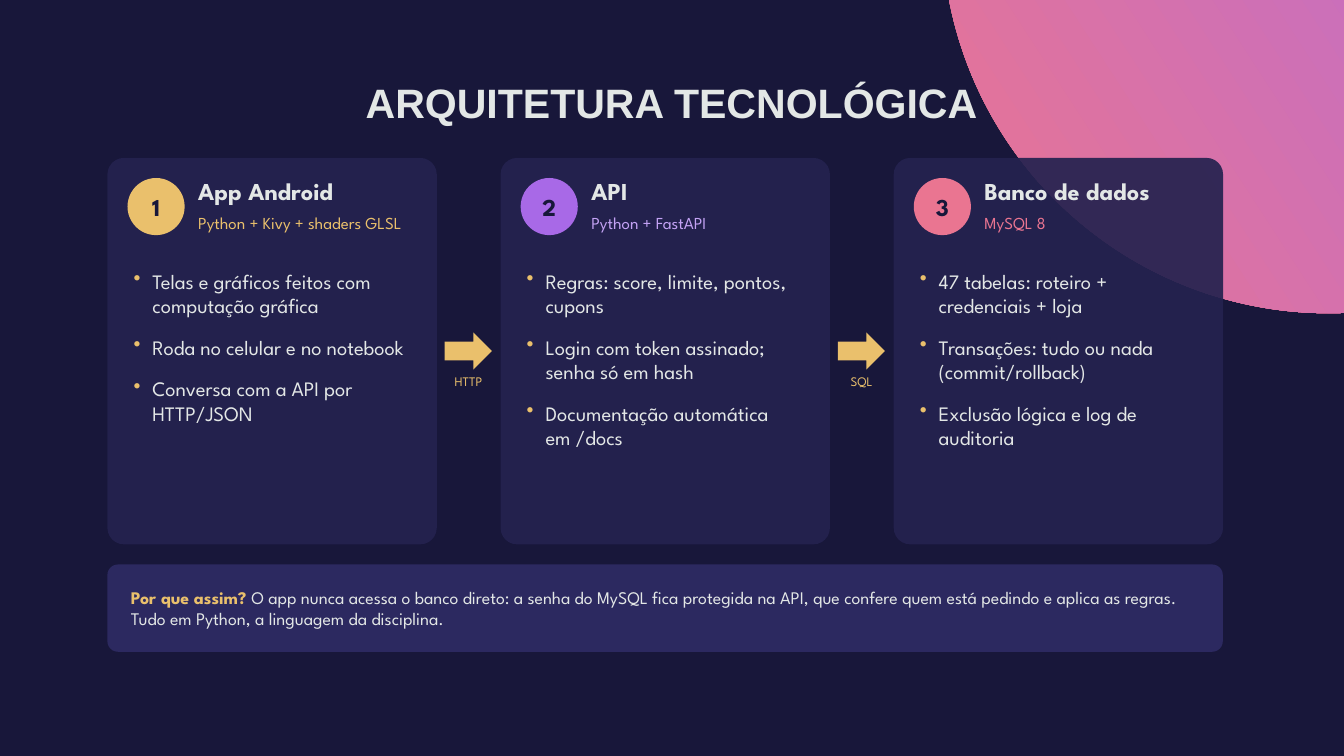
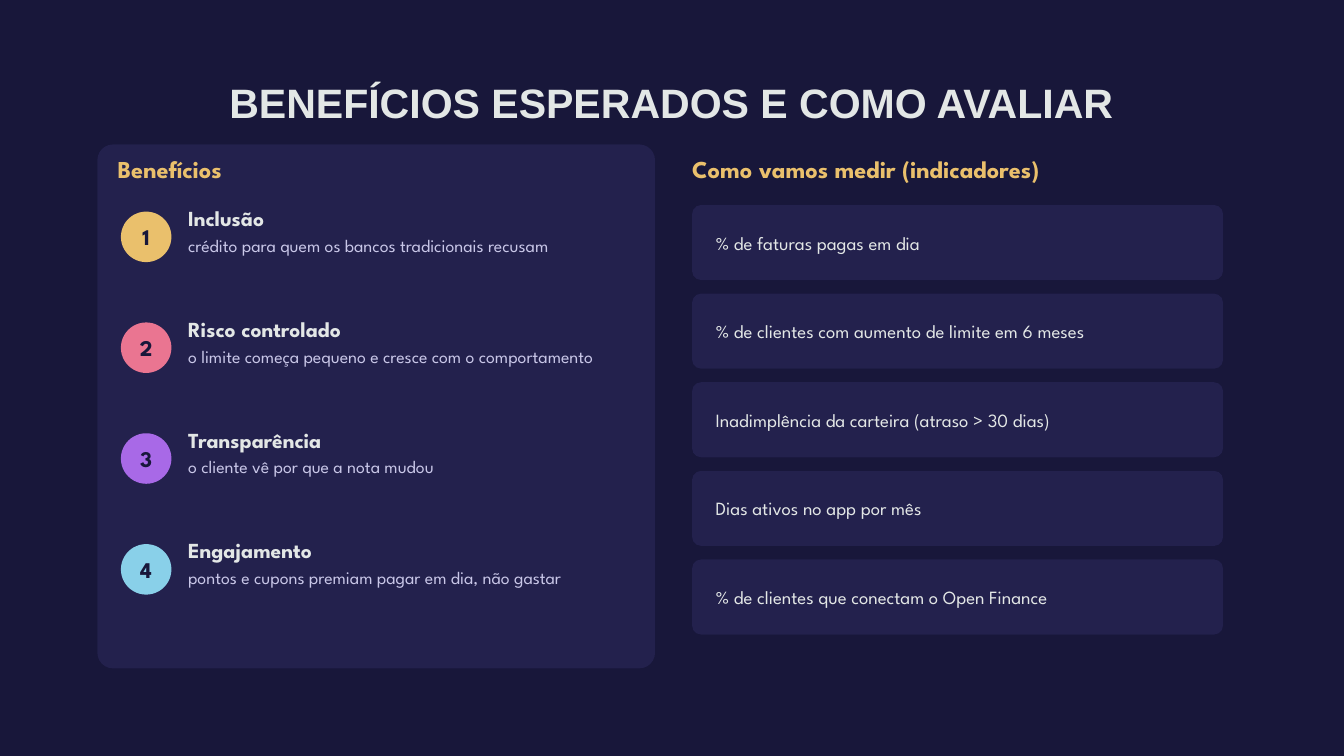
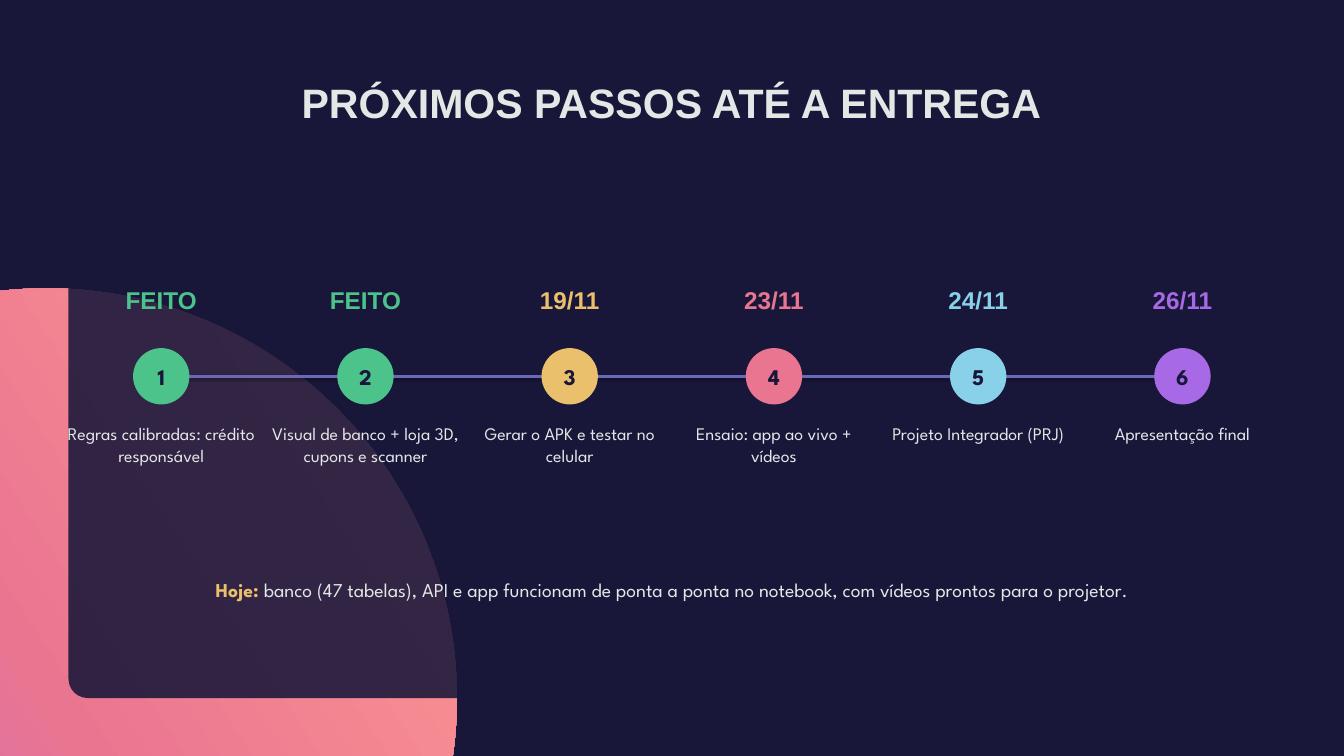
from lxml import etree
from pptx import Presentation
from pptx.dml.color import RGBColor
from pptx.enum.shapes import MSO_CONNECTOR, MSO_SHAPE
from pptx.enum.text import MSO_ANCHOR, MSO_AUTO_SIZE, PP_ALIGN
from pptx.oxml.ns import qn
from pptx.util import Cm, Pt

ROUNDED, CIRCLE, ARROW = MSO_SHAPE.ROUNDED_RECTANGLE, MSO_SHAPE.OVAL, MSO_SHAPE.RIGHT_ARROW
STRAIGHT = MSO_CONNECTOR.STRAIGHT
LEFT, CENTER = PP_ALIGN.LEFT, PP_ALIGN.CENTER
TOP, MIDDLE = MSO_ANCHOR.TOP, MSO_ANCHOR.MIDDLE
GROW = MSO_AUTO_SIZE.SHAPE_TO_FIT_TEXT

TITLE_FONT, BODY_FONT = "Arial", "League Spartan"
NIGHT, CARD, NOTE, LIGHT, LILAC = "18173A", "24224F", "2E2B63", "E3E7E6", "C9C7E8"
GOLD, PURPLE, PINK, SKY, GREEN = "EAC06C", "A869E7", "EA7591", "89D0E9", "4CC38A"
PALE_PURPLE, SALMON, TIMELINE = "C4A3F5", "FF9C92", "6C68B8"
color = RGBColor.from_string


def add_block(page, kind, box, fill, opacity=100, radius=None):
    """Add a borderless preset shape; box is left, top, width, height in cm."""
    shape = page.shapes.add_shape(kind, *map(Cm, box))
    shape.shadow.inherit = False
    shape.line.fill.background()
    shape.fill.solid()
    shape.fill.fore_color.rgb = color(fill)
    if opacity < 100:
        tint = shape._element.spPr.find(qn("a:solidFill"))[0]
        etree.SubElement(tint, qn("a:alpha"), val=str(opacity * 1000))
    if radius is not None:
        shape.adjustments[0] = radius
    return shape


def add_text(page, box, lines, size, ink, bold=False, font=BODY_FONT,
             align=LEFT, anchor=TOP, after=6, shape=None):
    """Write lines into the shape, or into a new text box, and return the frame."""
    if shape is None:
        shape = page.shapes.add_textbox(*map(Cm, box))
        shape.text_frame.auto_size = GROW
    frame = shape.text_frame
    frame.word_wrap = True
    frame.vertical_anchor = anchor
    frame.margin_left = frame.margin_top = frame.margin_right = frame.margin_bottom = 0
    frame.text = "\n".join(lines)
    for para in frame.paragraphs:
        para.alignment = align
        para.space_after = Pt(after)
        for span in para.runs:
            span.font.name, span.font.size, span.font.bold = font, Pt(size), bold
            span.font.color.rgb = color(ink)
    return frame


deck = Presentation()
deck.slide_width, deck.slide_height = Cm(50.8), Cm(28.58)

# Shared frame: background, gradient circle, veil and title
frames = [
    ("ARQUITETURA TECNOLÓGICA", (35.61, -17.37, 29.21, 29.21),
     [(0, PINK), (100, PURPLE)], None),
    ("BENEFÍCIOS ESPERADOS E COMO AVALIAR", None, [], None),
    ("PRÓXIMOS PASSOS ATÉ A ENTREGA", (-13.74, 10.9, 31.01, 31.01),
     [(0, PURPLE), (50, PINK), (100, SALMON)], (2.59, 2.16, 45.62, 24.23)),
]
pages = []
for title, circle_box, stops, veil_box in frames:
    page = deck.slides.add_slide(deck.slide_layouts[6])
    page.background.fill.solid()
    page.background.fill.fore_color.rgb = color(NIGHT)
    if circle_box:
        circle = add_block(page, CIRCLE, circle_box, PINK)
        circle.fill.gradient()
        circle.fill.gradient_angle = 33
        stop_list = circle._element.spPr.find(qn("a:gradFill")).find(qn("a:gsLst"))
        for old_stop in list(stop_list):
            stop_list.remove(old_stop)
        for position, tone in stops:
            stop = etree.SubElement(stop_list, qn("a:gs"), pos=str(position * 1000))
            etree.SubElement(stop, qn("a:srgbClr"), val=tone)
    if veil_box:
        add_block(page, ROUNDED, veil_box, NIGHT, 88, 0.03)
    add_text(page, (3.81, 2.67, 43.18, 2.41), [title], 44, LIGHT, True,
             TITLE_FONT, CENTER, MIDDLE)
    pages.append(page)
architecture, benefits, schedule = pages

# Slide 1: three layers joined by arrows
layers = [
    ("App Android", "Python + Kivy + shaders GLSL", GOLD, GOLD, "HTTP",
     ["Telas e gráficos feitos com computação gráfica", "Roda no celular e no notebook",
      "Conversa com a API por HTTP/JSON"]),
    ("API", "Python + FastAPI", PURPLE, PALE_PURPLE, "SQL",
     ["Regras: score, limite, pontos, cupons", "Login com token assinado; senha só em hash",
      "Documentação automática em /docs"]),
    ("Banco de dados", "MySQL 8", PINK, PINK, None,
     ["47 tabelas: roteiro + credenciais + loja", "Transações: tudo ou nada (commit/rollback)",
      "Exclusão lógica e log de auditoria"]),
]
for index, (name, stack, badge_fill, stack_ink, protocol, points) in enumerate(layers):
    left = 4.06 + index * 14.86
    add_block(architecture, ROUNDED, (left, 5.97, 12.45, 14.61), CARD, 92, 0.05)
    badge = add_block(architecture, CIRCLE, (left + 0.76, 6.73, 2.16, 2.16), badge_fill)
    add_text(architecture, None, [str(index + 1)], 26, NIGHT, True,
             align=CENTER, anchor=MIDDLE, after=0, shape=badge)
    add_text(architecture, (left + 3.43, 6.65, 8.64, 1.4), [name], 26, LIGHT, True)
    add_text(architecture, (left + 3.43, 8.05, 8.64, 1.14), [stack], 18, stack_ink)
    bullets = add_text(architecture, (left + 0.89, 10.16, 10.8, 10.16), points, 22, LIGHT, after=18)
    for para in bullets.paragraphs:
        settings = para._p.get_or_add_pPr()
        settings.set("marL", str(Cm(0.81)))
        settings.set("indent", str(Cm(-0.71)))
        bullet_color = etree.SubElement(settings, qn("a:buClr"))
        etree.SubElement(bullet_color, qn("a:srgbClr"), val=GOLD)
        etree.SubElement(settings, qn("a:buChar"), char="•")
    if protocol:
        add_block(architecture, ARROW, (left + 12.75, 12.57, 1.78, 1.4), GOLD)
        add_text(architecture, (left + 12.19, 14.1, 2.92, 1.02), [protocol], 14, GOLD, align=CENTER)

# Slide 1: reason for the design
add_block(architecture, ROUNDED, (4.06, 21.34, 42.16, 3.3), NOTE, 95, 0.12)
reason = add_text(architecture, (4.95, 21.34, 40.64, 3.3), ["Por que assim? "], 19, GOLD, True,
                  anchor=MIDDLE)

# Slide 2: numbered benefits
add_block(benefits, ROUNDED, (3.68, 5.46, 21.08, 19.81), CARD, 92, 0.03)
add_text(benefits, (4.45, 5.84, 20.32, 1.4), ["Benefícios"], 26, GOLD, True)
gains = [
    ("Inclusão", "crédito para quem os bancos tradicionais recusam", GOLD),
    ("Risco controlado", "o limite começa pequeno e cresce com o comportamento", PINK),
    ("Transparência", "o cliente vê por que a nota mudou", PURPLE),
    ("Engajamento", "pontos e cupons premiam pagar em dia, não gastar", SKY),
]
for index, (name, detail, badge_fill) in enumerate(gains):
    top = 7.75 + index * 4.19
    badge = add_block(benefits, CIRCLE, (4.57, top + 0.25, 1.91, 1.91), badge_fill)
    add_text(benefits, None, [str(index + 1)], 24, NIGHT, True,
             align=CENTER, anchor=MIDDLE, after=0, shape=badge)
    gain = add_text(benefits, (7.11, top, 17.02, 3.81), [name, detail], 23, LIGHT, True, after=4)
    span = gain.paragraphs[1].runs[0]
    span.font.size, span.font.bold = Pt(19), False
    span.font.color.rgb = color(LILAC)

# Slide 2: indicators
add_text(benefits, (26.16, 5.84, 20.07, 1.4), ["Como vamos medir (indicadores)"], 26, GOLD, True)
indicators = [
    "% de faturas pagas em dia",
    "% de clientes com aumento de limite em 6 meses",
    "Inadimplência da carteira (atraso > 30 dias)",
    "Dias ativos no app por mês",
    "% de clientes que conectam o Open Finance",
]
for index, indicator in enumerate(indicators):
    top = 7.75 + index * 3.35
    add_block(benefits, ROUNDED, (26.16, top, 20.07, 2.84), CARD, 92, 0.12)
    add_text(benefits, (27.05, top, 18.54, 2.84), [indicator], 20, LIGHT, anchor=MIDDLE)

# Slide 3: timeline with a soft shadow
timeline = schedule.shapes.add_connector(STRAIGHT, Cm(6.1), Cm(14.22), Cm(44.7), Cm(14.22))
timeline.line.color.rgb = color(TIMELINE)
timeline.line.width = Pt(3)
effects = etree.SubElement(timeline._element.spPr, qn("a:effectLst"))
shadow = etree.SubElement(effects, qn("a:outerShdw"), blurRad=str(Pt(3.1)), dist=str(Pt(1.6)),
                          dir="5400000", rotWithShape="0")
shadow_color = etree.SubElement(shadow, qn("a:srgbClr"), val="000000")
etree.SubElement(shadow_color, qn("a:alpha"), val="38000")

# Slide 3: steps
steps = [
    ("FEITO", "Regras calibradas: crédito responsável", GREEN),
    ("FEITO", "Visual de banco + loja 3D, cupons e scanner", GREEN),
    ("19/11", "Gerar o APK e testar no celular", GOLD),
    ("23/11", "Ensaio: app ao vivo + vídeos", PINK),
    ("24/11", "Projeto Integrador (PRJ)", SKY),
    ("26/11", "Apresentação final", PURPLE),
]
for index, (date, task, tone) in enumerate(steps):
    left = 2.54 + index * 7.72
    badge = add_block(schedule, CIRCLE, (left + 2.49, 13.16, 2.13, 2.13), tone)
    add_text(schedule, None, [str(index + 1)], 24, NIGHT, True,
             align=CENTER, anchor=MIDDLE, after=0, shape=badge)
    add_text(schedule, (left, 10.8, 7.11, 1.52), [date], 26, tone, True, TITLE_FONT, CENTER)
    add_text(schedule, (left, 16, 7.11, 4.06), [task], 19, LIGHT, align=CENTER)

# Slide 3: current state
today = add_text(schedule, (5.08, 21.84, 40.64, 2.79), ["Hoje: "], 21, GOLD, True, align=CENTER)

# Plain text after the bold lead-ins
remarks = [
    (reason, 19, "O app nunca acessa o banco direto: a senha do MySQL fica protegida na API, "
     "que confere quem está pedindo e aplica as regras. "
     "Tudo em Python, a linguagem da disciplina."),
    (today, 21, "banco (47 tabelas), API e app funcionam de ponta a ponta no notebook, "
     "com vídeos prontos para o projetor."),
]
for frame, size, remark in remarks:
    span = frame.paragraphs[0].add_run()
    span.text = remark
    span.font.name, span.font.size, span.font.bold = BODY_FONT, Pt(size), False
    span.font.color.rgb = color(LIGHT)

deck.save("out.pptx")
